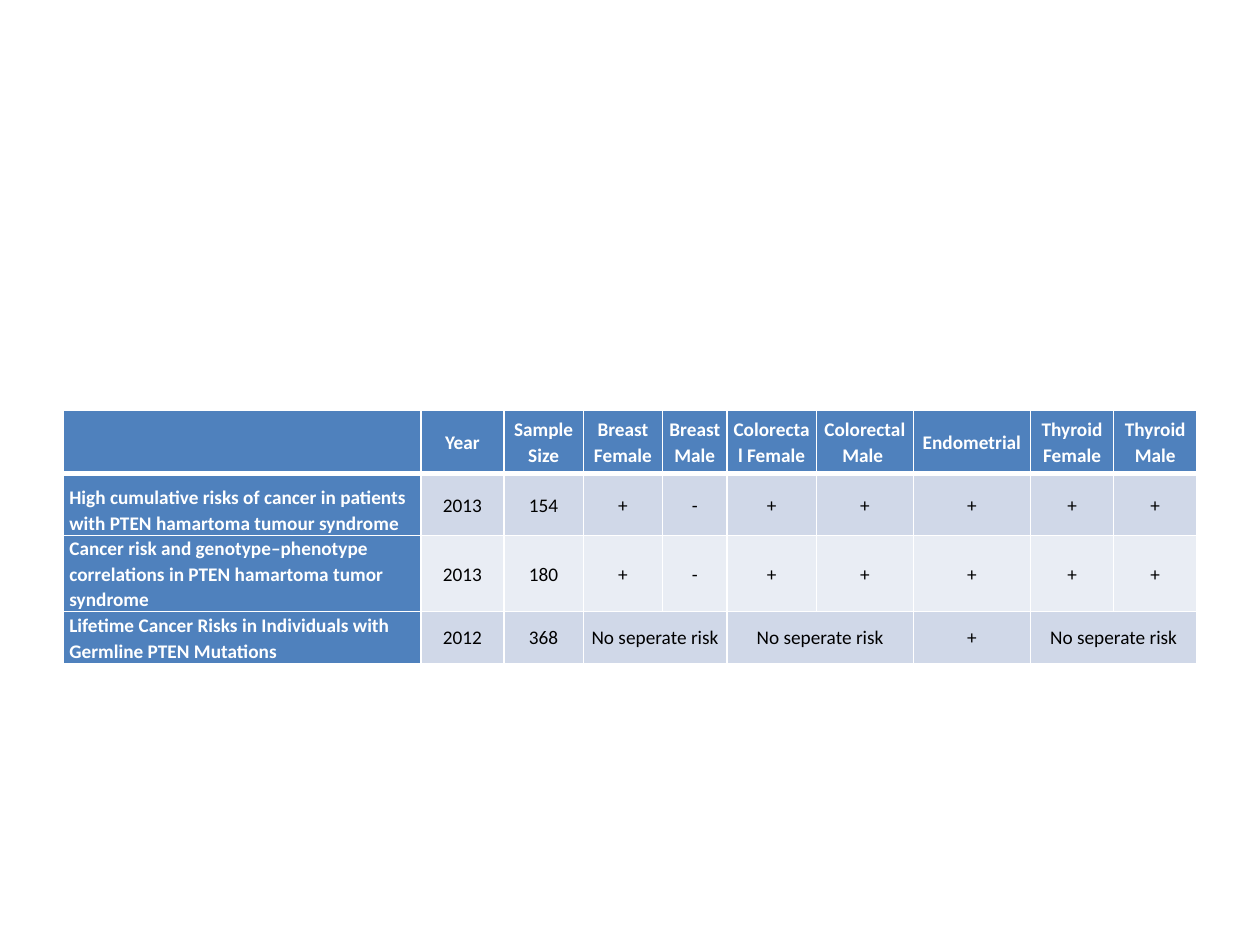
import pptx
import pptx.dml.color
import pptx.enum.text
import pptx.oxml.ns
import pptx.util
from dataclasses import dataclass
from lxml import etree
from pptx.util import Inches


@dataclass(frozen=True)
class Theme:
    font: str = "Calibri"
    size: int = 11
    line_spacing: float = 1.07
    heading_fill: str = "4F81BD"
    heading_text: str = "FFFFFF"
    body_text: str = "000000"
    bands: tuple = ("D0D8E8", "E9EDF4")
    border: str = "FFFFFF"
    thin: int = 1
    thick: int = 3


theme = Theme()
color = pptx.dml.color.RGBColor.from_string
MIDDLE = pptx.enum.text.MSO_ANCHOR.MIDDLE
BOTTOM = pptx.enum.text.MSO_ANCHOR.BOTTOM
CENTER = pptx.enum.text.PP_ALIGN.CENTER
LEFT = pptx.enum.text.PP_ALIGN.LEFT


def add_border(cell, side, width):
    """Draw one side (L, R, T or B) of a cell, width in points."""
    line = etree.SubElement(cell._tc.get_or_add_tcPr(), pptx.oxml.ns.qn(f"a:ln{side}"))
    line.set("w", str(pptx.util.Pt(width)))
    fill = etree.SubElement(line, pptx.oxml.ns.qn("a:solidFill"))
    etree.SubElement(fill, pptx.oxml.ns.qn("a:srgbClr")).set("val", theme.border)


column_widths = [2.84, 0.66, 0.63, 0.63, 0.51, 0.71, 0.77, 0.93, 0.66, 0.66]
row_heights = [0.5, 0.49, 0.41, 0.41]
# None marks a cell that the one on its left spans.
rows = [
    ["", "Year", "Sample Size", "Breast Female", "Breast Male", "Colorectal Female",
     "Colorectal Male ", "Endometrial", "Thyroid Female", "Thyroid Male"],
    ["High cumulative risks of cancer in patients with PTEN hamartoma tumour syndrome",
     "2013", "154", "+", "-", "+", "+", "+", "+", "+"],
    ["Cancer risk and genotype–phenotype correlations in PTEN hamartoma tumor syndrome",
     "2013", "180", "+", "-", "+", "+", "+", "+", "+"],
    ["Lifetime Cancer Risks in Individuals with Germline PTEN Mutations",
     "2012", "368", "No seperate risk", None, "No seperate risk", None, "+",
     "No seperate risk", None],
]

deck = pptx.Presentation()
deck.slide_width = Inches(10)
deck.slide_height = Inches(7.5)
slide = deck.slides.add_slide(deck.slide_layouts[6])

table = slide.shapes.add_table(
    len(rows), len(column_widths), Inches(0.5), Inches(3.26), Inches(9), Inches(1.99)).table
table.first_col = True
for column, width in zip(table.columns, column_widths):
    column.width = Inches(width)
for row, height in zip(table.rows, row_heights):
    row.height = Inches(height)

for row_index, texts in enumerate(rows):
    for column_index, text in enumerate(texts):
        cell = table.cell(row_index, column_index)
        if text is None:
            table.cell(row_index, column_index - 1).merge(cell)
            continue
        is_header = row_index == 0
        is_study = column_index == 0 and not is_header
        is_heading = is_header or is_study

        add_border(cell, "L", theme.thin)
        add_border(cell, "R", theme.thin)
        add_border(cell, "T", theme.thick if row_index == 1 else theme.thin)
        add_border(cell, "B", theme.thick if is_header else theme.thin)
        cell.fill.solid()
        band = theme.bands[(row_index - 1) % 2]
        cell.fill.fore_color.rgb = color(theme.heading_fill if is_heading else band)

        cell.margin_left = cell.margin_right = Inches(0.05)
        cell.margin_top = cell.margin_bottom = 0
        cell.vertical_anchor = BOTTOM if is_study else MIDDLE
        if not text:
            continue
        para = cell.text_frame.paragraphs[0]
        para.alignment = LEFT if is_study else CENTER
        para.line_spacing = theme.line_spacing
        span = para.add_run()
        span.text = text
        span.font.name = theme.font
        span.font.size = pptx.util.Pt(theme.size)
        span.font.bold = is_heading
        span.font.color.rgb = color(theme.heading_text if is_heading else theme.body_text)

deck.save("out.pptx")
